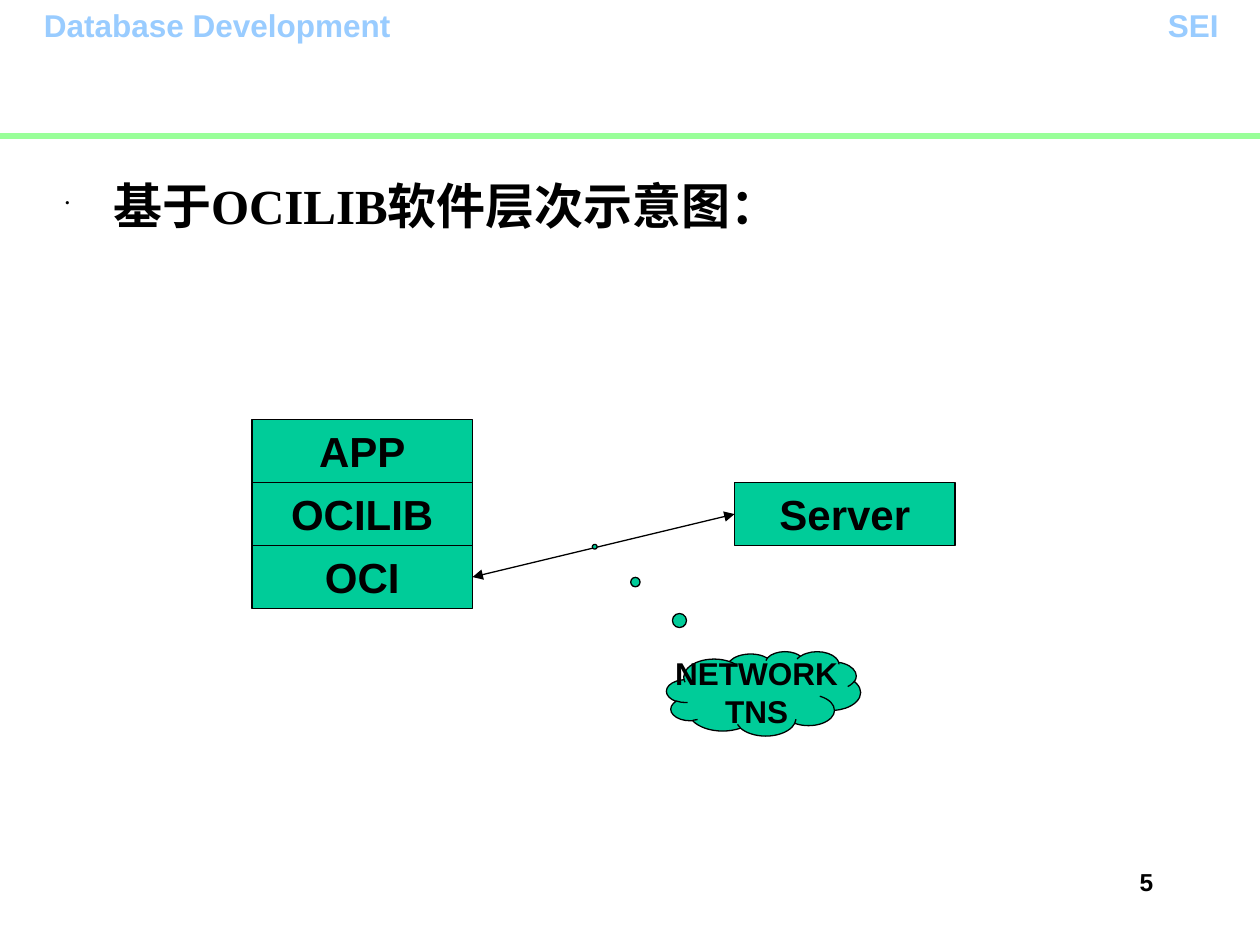
from pptx import Presentation
from pptx.dml.color import RGBColor
from pptx.enum import shapes, text
from pptx.oxml.ns import qn
from pptx.util import Inches, Pt
from lxml import etree

BLACK, GREEN, TEAL, SKY = "000000", "99FF99", "00CC99", "99CCFF"
LEFT, CENTER, RIGHT = text.PP_ALIGN.LEFT, text.PP_ALIGN.CENTER, text.PP_ALIGN.RIGHT
TOP, MIDDLE = text.MSO_ANCHOR.TOP, text.MSO_ANCHOR.MIDDLE
LAYER_WIDTH, LAYER_HEIGHT = 1.75, 0.5
STACK_LEFT, STACK_TOP = 2, 3.33
SERVER_LEFT = 5.83


def color(hex_string):
    """Turn a hex string into a colour."""
    return RGBColor.from_string(hex_string)


def write(frame, lines, size, hue=BLACK, align=LEFT, anchor=MIDDLE, face="Arial"):
    """Fill a text frame with bold paragraphs."""
    frame.vertical_anchor = anchor
    frame.text = "\n".join(lines)
    for paragraph in frame.paragraphs:
        paragraph.alignment = align
        font = paragraph.font
        font.name, font.size, font.bold = face, Pt(size), True
        font.color.rgb = color(hue)


def add_label(slide, box, label, size, **style):
    """Add a wrapping text box and return its first paragraph."""
    frame = slide.shapes.add_textbox(*map(Inches, box)).text_frame
    frame.word_wrap = True
    write(frame, [label], size, **style)
    return frame.paragraphs[0]


def add_heading(slide, box, label):
    """Add the bulleted heading line."""
    paragraph = add_label(slide, box, label, 28, anchor=TOP, face="Times New Roman")
    paragraph.line_spacing = 1.2
    properties = paragraph._p.get_or_add_pPr()
    properties.set("marL", str(Inches(0.38)))
    properties.set("indent", str(-Inches(0.38)))
    bullet_color = etree.Element(qn("a:buClr"))
    etree.SubElement(bullet_color, qn("a:srgbClr"), val=BLACK)
    bullet_size = etree.Element(qn("a:buSzPct"), val="25000")
    bullet = etree.Element(qn("a:buChar"), char="•")
    spacing = properties.find(qn("a:lnSpc"))
    for part in (bullet, bullet_size, bullet_color):
        spacing.addnext(part)


def add_node(slide, kind, box, lines, size):
    """Add a filled, outlined shape with centred text."""
    node = slide.shapes.add_shape(kind, *map(Inches, box))
    node.shadow.inherit = False
    node.fill.solid()
    node.fill.fore_color.rgb = color(TEAL)
    node.line.color.rgb = color(BLACK)
    node.line.width = Pt(0.75)
    write(node.text_frame, lines, size, align=CENTER)
    node.text_frame.word_wrap = False
    return node


def add_line(slide, start, end, hue, width, arrows=False):
    """Add a straight line, with arrowheads at both ends on request."""
    line = slide.shapes.add_connector(
        shapes.MSO_CONNECTOR.STRAIGHT, *map(Inches, start + end))
    line.line.color.rgb = color(hue)
    line.line.width = Pt(width)
    if arrows:
        outline = line.line._get_or_add_ln()
        for tip in ("a:headEnd", "a:tailEnd"):
            etree.SubElement(outline, qn(tip), type="triangle")
    etree.SubElement(line._element.spPr, qn("a:effectLst"))


def main():
    """Build the slide and save it."""
    deck = Presentation()
    deck.slide_width, deck.slide_height = Inches(10), Inches(7.5)
    slide = deck.slides.add_slide(deck.slide_layouts[6])

    add_line(slide, (0, 1.08), (10, 1.08), GREEN, 3)
    add_label(slide, (0.25, 0, 6.58, 0.4), "Database Development", 18, hue=SKY)
    add_label(slide, (9.17, 0, 0.67, 0.4), "SEI", 18, hue=SKY)
    add_heading(slide, (0.42, 1.25, 9.17, 5.92), "基于OCILIB软件层次示意图：")

    rectangle = shapes.MSO_SHAPE.RECTANGLE
    for row, layer in enumerate(("APP", "OCILIB", "OCI")):
        top = STACK_TOP + row * LAYER_HEIGHT
        add_node(slide, rectangle, (STACK_LEFT, top, LAYER_WIDTH, LAYER_HEIGHT),
                 [layer], 24)
    server_top = STACK_TOP + LAYER_HEIGHT
    add_node(slide, rectangle, (SERVER_LEFT, server_top, LAYER_WIDTH, LAYER_HEIGHT),
             ["Server"], 24)
    add_line(slide, (STACK_LEFT + LAYER_WIDTH, STACK_TOP + 2.5 * LAYER_HEIGHT),
             (SERVER_LEFT, server_top + LAYER_HEIGHT / 2), BLACK, 0.75, arrows=True)

    network = add_node(slide, shapes.MSO_SHAPE.CLOUD_CALLOUT,
                       (5.29, 5.17, 1.54, 0.67), ["NETWORK", "TNS"], 18)
    network.adjustments[0], network.adjustments[1] = -0.87, -1.74

    add_label(slide, (7.17, 6.83, 2.08, 0.5), "5", 14, align=RIGHT, anchor=TOP)
    deck.save("out.pptx")


if __name__ == "__main__":
    main()
